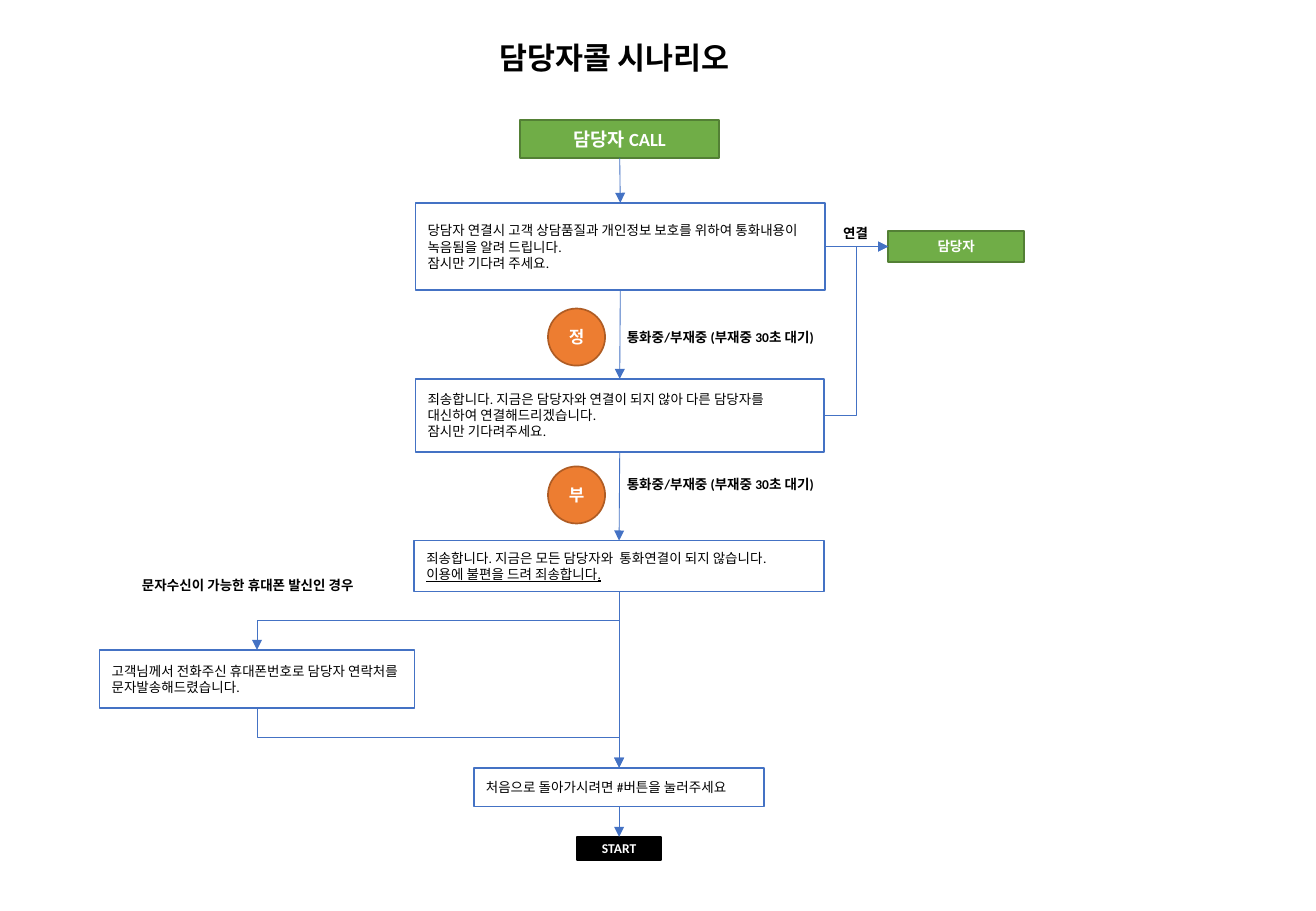
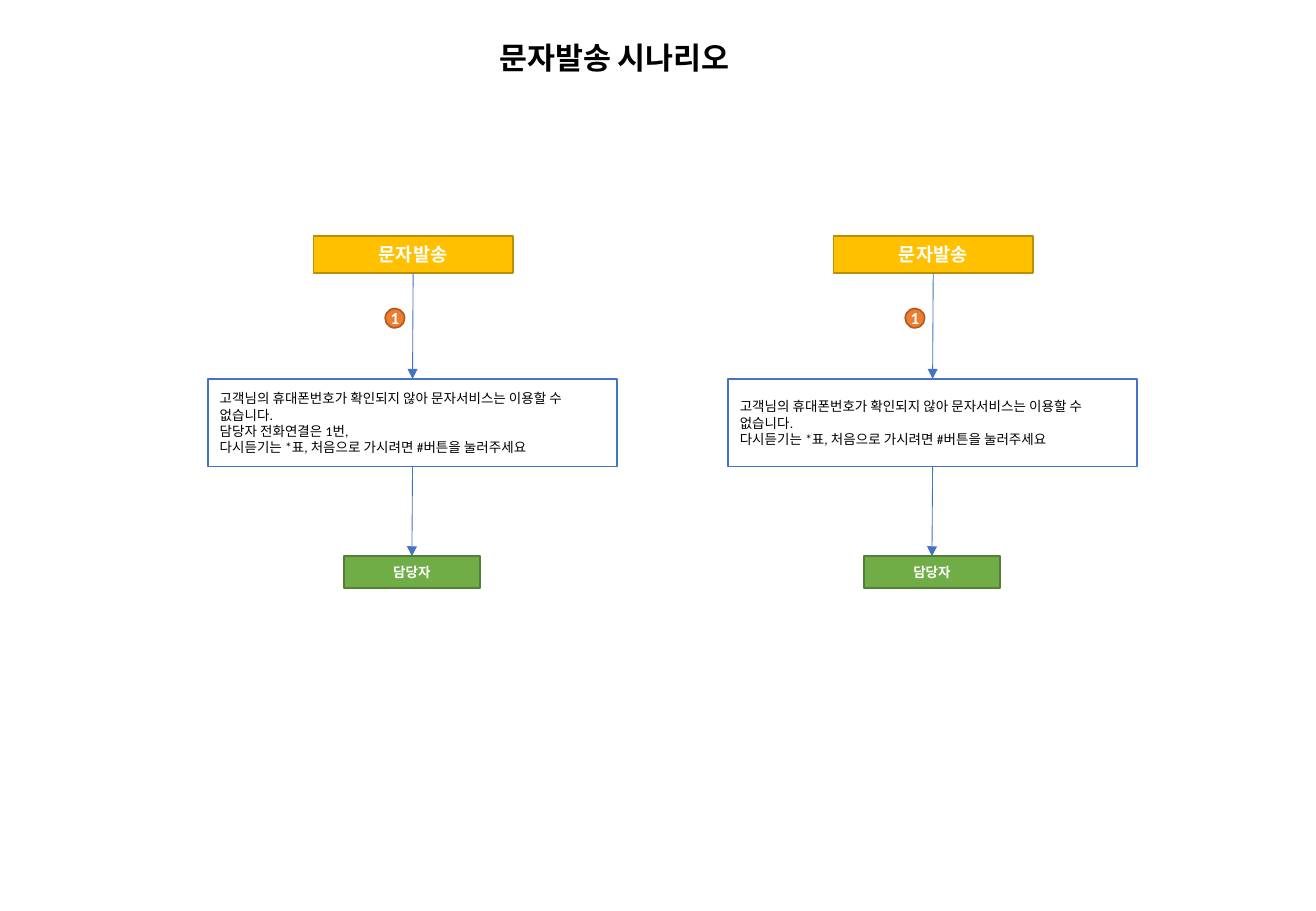
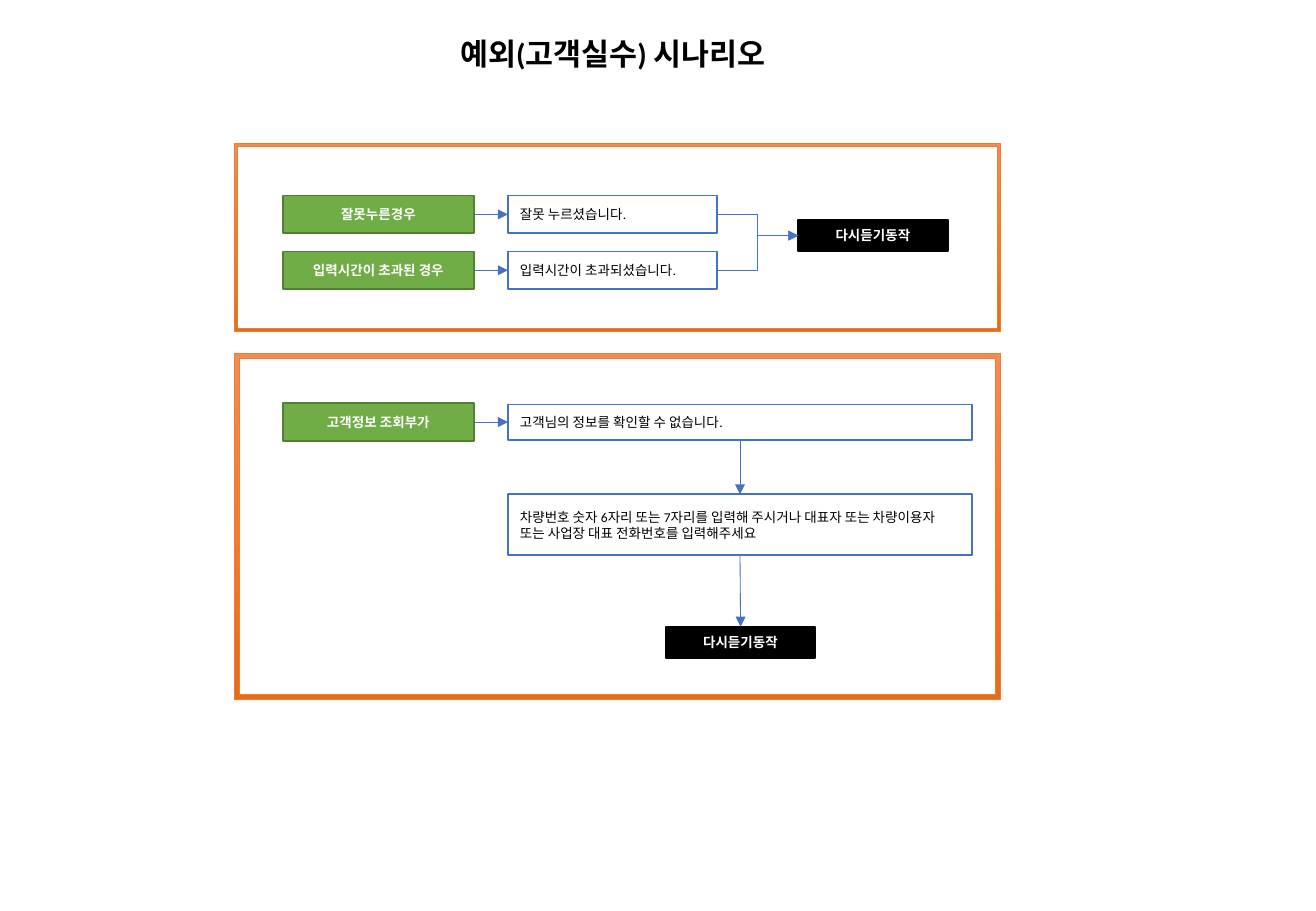
from copy import deepcopy
from dataclasses import dataclass

from pptx import Presentation, util as u
from pptx.dml.color import RGBColor
from pptx.enum import shapes as sh, text as tx
from pptx.oxml import parse_xml
from pptx.oxml.ns import nsdecls, qn
from pptx.shapes.autoshape import Shape
from pptx.shapes.connector import Connector
from pptx.slide import Slide

WIDE, HIGH = u.Inches(10.83), u.Inches(7.5)
COLS, ROWS = 108.3, 75
TOP, LEFT, DOWN, RIGHT = range(4)
KIND = sh.MSO_SHAPE


@dataclass(frozen=True)
class Look:
    fill: str
    edge: str
    ink: str = "FFFFFF"
    size: float = 8
    bold: bool = True
    mid: bool = True
    form: KIND = KIND.RECTANGLE


@dataclass(frozen=True)
class Theme:
    font: str = "Calibri"
    ink: str = "000000"
    wire: str = "4472C4"
    title: float = 18
    label: float = 8
    edge: float = 1
    thin: float = 0.5
    rim: str = "ED7D31"
    glow: tuple[str, ...] = ("F18C57", "F67B28", "E56C19")
    call: Look = Look("70AD47", "538035", size=11)
    agent: Look = Look("70AD47", "538035")
    send: Look = Look("FFC000", "BD8E00", size=11)
    stop: Look = Look("000000", "000000")
    step: Look = Look("FFFFFF", "4472C4", "000000", bold=False, mid=False)
    badge: Look = Look("ED7D31", "AF5C24", size=10, form=KIND.OVAL)


@dataclass(frozen=True)
class Box:
    left: float
    top: float
    wide: float
    high: float

    def place(self) -> tuple[int, int, int, int]:
        col, row = WIDE / COLS, HIGH / ROWS
        return (round(self.left * col), round(self.top * row),
                round(self.wide * col), round(self.high * row))


THEME = Theme()


def tint(code: str) -> RGBColor:
    return RGBColor.from_string(code)


def write(shape: Shape, lines: tuple[str, ...], size: float, ink: str,
          bold: bool, mid: bool = False) -> None:
    frame = shape.text_frame
    frame.text = "\n".join(lines)
    for para in frame.paragraphs:
        para.alignment = tx.PP_ALIGN.CENTER if mid else tx.PP_ALIGN.LEFT
        font = para.font
        font.name, font.size, font.bold = THEME.font, u.Pt(size), bold
        font.color.rgb = tint(ink)


def node(slide: Slide, look: Look, box: Box, *lines: str) -> Shape:
    shape = slide.shapes.add_shape(look.form, *box.place())
    shape.shadow.inherit = False
    shape.fill.solid()
    shape.fill.fore_color.rgb = tint(look.fill)
    shape.line.color.rgb = tint(look.edge)
    shape.line.width = u.Pt(THEME.edge)
    shape.text_frame.vertical_anchor = tx.MSO_ANCHOR.MIDDLE
    write(shape, lines, look.size, look.ink, look.bold, look.mid)
    return shape


def label(slide: Slide, box: Box, words: str, size: float = THEME.label,
          wrap: bool = True) -> None:
    shape = slide.shapes.add_textbox(*box.place())
    shape.text_frame.word_wrap = wrap
    shape.text_frame.auto_size = tx.MSO_AUTO_SIZE.SHAPE_TO_FIT_TEXT
    write(shape, (words,), size, THEME.ink, True)


def page(deck: Presentation, box: Box, title: str) -> Slide:
    slide = deck.slides.add_slide(deck.slide_layouts[6])
    label(slide, box, title, THEME.title, False)
    return slide


def turn(wire: Connector) -> None:
    x, y, end, low = wire.begin_x, wire.begin_y, wire.end_x, wire.end_y
    midx, midy = (x + end) // 2, (y + low) // 2
    half, rise = abs(end - x) // 2, (low - y) // 2
    side = 1 if end < x else -1
    wire.begin_x, wire.end_x = midx - side * rise, midx + side * rise
    wire.begin_y, wire.end_y = midy - half, midy + half
    angle = 90 if side == 1 else 270
    wire.element.spPr.find(qn("a:xfrm")).set("rot", str(angle * 60000))


def link(slide: Slide, start: Shape, goal: Shape, out: int = DOWN,
         into: int = TOP, bent: bool = False) -> None:
    kind = sh.MSO_CONNECTOR.ELBOW if bent else sh.MSO_CONNECTOR.STRAIGHT
    wire = slide.shapes.add_connector(kind, 0, 0, 0, 0)
    wire.begin_connect(start, out)
    wire.end_connect(goal, into)
    if bent and out == DOWN:
        turn(wire)
    wire.line.color.rgb = tint(THEME.wire)
    wire.line.width = u.Pt(THEME.thin)
    wire.line._get_or_add_ln().append(
        parse_xml(f'<a:tailEnd {nsdecls("a")} type="triangle"/>'))
    wire.element.spPr.append(parse_xml(f'<a:effectLst {nsdecls("a")}/>'))


def panel(slide: Slide, box: Box) -> None:
    shape = slide.shapes.add_shape(KIND.FRAME, *box.place())
    shape.shadow.inherit = False
    shape.adjustments[0] = 0.014
    shape.fill.gradient()
    shape.fill.gradient_angle = 270
    stops = shape.element.spPr.find(f".//{qn('a:gsLst')}")
    stops.append(deepcopy(stops[-1]))
    for rank, (stop, code) in enumerate(zip(shape.fill.gradient_stops, THEME.glow)):
        stop.position = rank / 2
        stop.color.rgb = tint(code)
    shape.line.color.rgb = tint(THEME.rim)
    shape.line.width = u.Pt(THEME.thin)


def calls(deck: Presentation) -> None:
    slide = page(deck, Box(40.1, 2.7, 22.8, 4), "담당자콜 시나리오")
    call = node(slide, THEME.call, Box(42.8, 9.9, 16.4, 3.1), "담당자 CALL")
    intro = node(slide, THEME.step, Box(34.2, 16.7, 33.7, 7.2),
                 "당담자 연결시 고객 상담품질과 개인정보 보호를 위하여 통화내용이 녹음됨을 알려 드립니다.",
                 "잠시만 기다려 주세요.")
    agent = node(slide, THEME.agent, Box(73.1, 19, 11.2, 2.6), "담당자")
    retry = node(slide, THEME.step, Box(34.2, 31.2, 33.6, 6),
                 "죄송합니다. 지금은 담당자와 연결이 되지 않아 다른 담당자를 "
                 "대신하여 연결해드리겠습니다.\v잠시만 기다려주세요.")
    sorry = node(slide, THEME.step, Box(34.1, 44.5, 33.7, 4.2),
                 "죄송합니다. 지금은 모든 담당자와  통화연결이 되지 않습니다.",
                 "이용에 불편을 드려 죄송합니다.")
    sorry.text_frame.paragraphs[-1].font.underline = True
    sms = node(slide, THEME.step, Box(8.2, 53.5, 25.9, 4.8),
               "고객님께서 전화주신 휴대폰번호로 담당자 연락처를 문자발송해드렸습니다.")
    back = node(slide, THEME.step, Box(39, 63.2, 23.9, 3.2),
                "처음으로 돌아가시려면 #버튼을 눌러주세요")
    start = node(slide, THEME.stop, Box(47.5, 68.9, 6.9, 1.9), "START")
    for top, word in ((25.4, "정"), (38.4, "부")):
        node(slide, THEME.badge, Box(45.1, top, 4.7, 4.7), word)
    flow = (call, intro, retry, sorry, back, start)
    for above, below in zip(flow, flow[1:]):
        link(slide, above, below)
    link(slide, intro, agent, RIGHT, LEFT)
    link(slide, retry, agent, RIGHT, LEFT, True)
    link(slide, sorry, sms, bent=True)
    link(slide, sms, back, bent=True)
    busy = "통화중/부재중 (부재중 30초 대기)"
    for box, words in ((Box(50.6, 26.6, 19.2, 2.4), busy),
                       (Box(50.6, 38.7, 20.9, 2.4), busy),
                       (Box(68.4, 18, 4.8, 2.4), "연결"),
                       (Box(10.7, 47, 20.9, 2.4), "문자수신이 가능한 휴대폰 발신인 경우")):
        label(slide, box, words)


def texts(deck: Presentation) -> None:
    slide = page(deck, Box(40.1, 2.7, 22.8, 4), "문자발송 시나리오")
    fail = "고객님의 휴대폰번호가 확인되지 않아 문자서비스는 이용할 수 없습니다."
    redo = "다시듣기는 *표, 처음으로 가시려면 #버튼을 눌러주세요"
    for left, lines in ((17.1, (fail, "담당자 전화연결은 1번,", redo)),
                        (59.9, (fail, redo))):
        send = node(slide, THEME.send, Box(left + 8.7, 19.4, 16.4, 3.1), "문자발송")
        step = node(slide, THEME.step, Box(left, 31.2, 33.7, 7.2), *lines)
        agent = node(slide, THEME.agent, Box(left + 11.2, 45.8, 11.2, 2.6), "담당자")
        node(slide, THEME.badge, Box(left + 14.6, 25.4, 1.6, 1.6), "1")
        link(slide, send, step)
        link(slide, step, agent)


def slips(deck: Presentation) -> None:
    slide = page(deck, Box(36.9, 2.4, 29.4, 4), "예외(고객실수) 시나리오")
    for top, high in ((11.8, 15.5), (29.1, 28.5)):
        panel(slide, Box(19.3, top, 63, high))
    again = "다시듣기동작"
    replay = node(slide, THEME.stop, Box(65.7, 18.1, 12.3, 2.6), again)
    for top, cause, reply in ((16.1, "잘못누른경우", "잘못 누르셨습니다."),
                              (20.7, "입력시간이 초과된 경우", "입력시간이 초과되셨습니다.")):
        case = node(slide, THEME.agent, Box(23.3, top, 15.7, 3.1), cause)
        step = node(slide, THEME.step, Box(41.8, top, 17.2, 3.1), reply)
        link(slide, case, step, RIGHT, LEFT)
        link(slide, step, replay, RIGHT, LEFT, True)
    case = node(slide, THEME.agent, Box(23.3, 33.2, 15.7, 3.1), "고객정보 조회부가")
    lost = node(slide, THEME.step, Box(41.8, 33.3, 38.2, 2.9),
                "고객님의 정보를 확인할 수 없습니다.")
    ask = node(slide, THEME.step, Box(41.8, 40.7, 38.2, 5),
               "차량번호 숫자 6자리 또는 7자리를 입력해 주시거나 대표자 또는 "
               "차량이용자 또는 사업장 대표 전화번호를 입력해주세요")
    last = node(slide, THEME.stop, Box(54.8, 51.6, 12.3, 2.6), again)
    link(slide, case, lost, RIGHT, LEFT)
    link(slide, lost, ask)
    link(slide, ask, last)


def main() -> None:
    deck = Presentation()
    deck.slide_width, deck.slide_height = WIDE, HIGH
    for build in (calls, texts, slips):
        build(deck)
    deck.save("out.pptx")


main()
